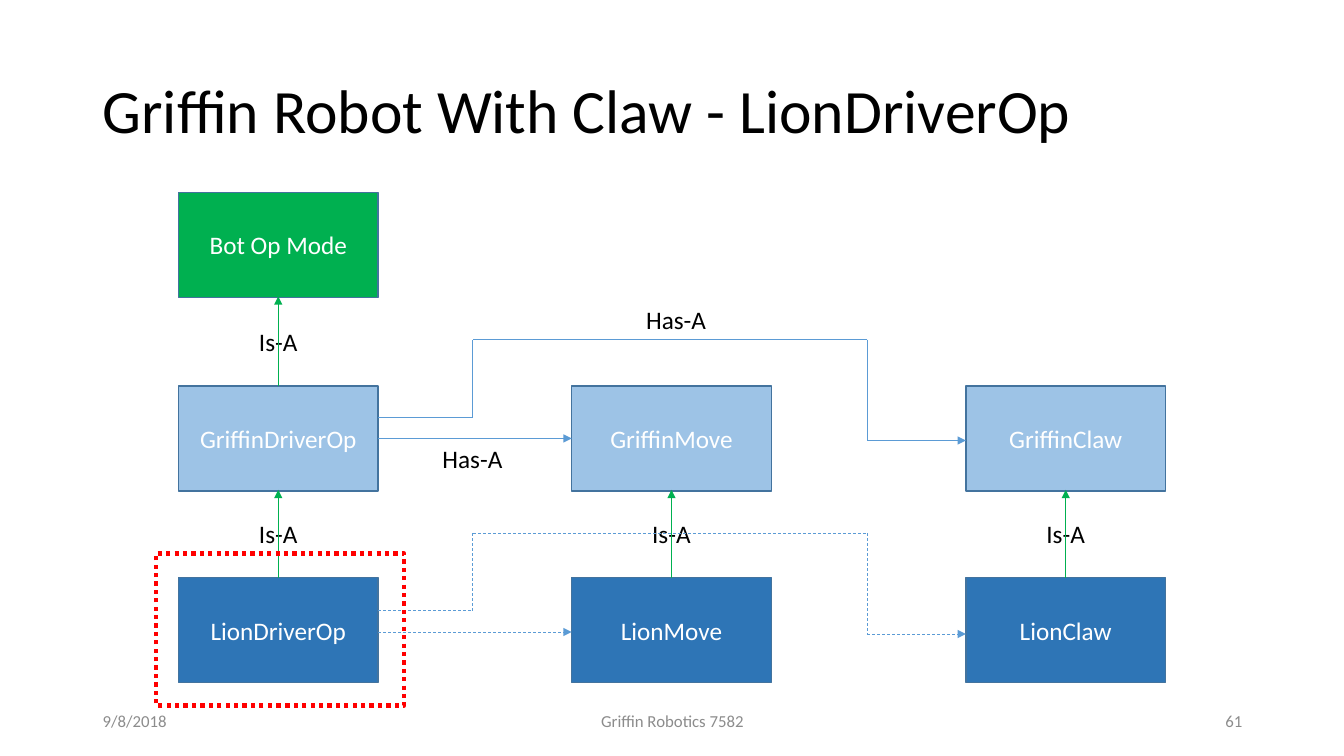
from dataclasses import dataclass
from itertools import pairwise

from lxml.etree import SubElement
from pptx import Presentation
from pptx.dml.color import RGBColor
from pptx.enum.dml import MSO_LINE
from pptx.enum.shapes import MSO_CONNECTOR, MSO_SHAPE
from pptx.enum.text import MSO_ANCHOR, MSO_AUTO_SIZE, PP_ALIGN
from pptx.oxml.ns import qn
from pptx.util import Inches, Pt


@dataclass(frozen=True)
class Theme:
    font: str = "Calibri"
    black: str = "000000"
    white: str = "FFFFFF"
    gray: str = "8C8C8C"
    green: str = "00B050"
    light_blue: str = "9DC3E6"
    dark_blue: str = "2E75B6"
    border: str = "43739E"
    link: str = "5B9BD5"
    red: str = "FF0000"
    title: int = 44
    body: int = 18
    footer: int = 12


THEME = Theme()
COLUMNS = (1.77, 5.67, 9.58)
ROWS = (1.91, 3.83, 5.73)
BOX_W, BOX_H = 1.98, 1.04


def rgb(color):
    return RGBColor.from_string(color)


def write(s, text, size, color, align):
    tf = s.text_frame
    tf.text = text
    p = tf.paragraphs[0]
    p.alignment = align
    font = p.runs[0].font
    font.name = THEME.font
    font.size = Pt(size)
    font.color.rgb = rgb(color)
    return p


def add_text(slide, text, x, y, w, h, size, color, align=PP_ALIGN.LEFT):
    s = slide.shapes.add_textbox(Inches(x), Inches(y), Inches(w), Inches(h))
    s.text_frame.word_wrap = True
    s.text_frame.vertical_anchor = MSO_ANCHOR.MIDDLE
    return write(s, text, size, color, align)


def add_label(slide, text, x, y, w):
    s = slide.shapes.add_textbox(Inches(x), Inches(y), Inches(w), Inches(0.4))
    s.text_frame.word_wrap = False
    s.text_frame.auto_size = MSO_AUTO_SIZE.SHAPE_TO_FIT_TEXT
    write(s, text, THEME.body, THEME.black, PP_ALIGN.LEFT)


def add_rect(slide, x, y, w, h, line, width):
    s = slide.shapes.add_shape(
        MSO_SHAPE.RECTANGLE, Inches(x), Inches(y), Inches(w), Inches(h))
    s.shadow.inherit = False
    s.line.color.rgb = rgb(line)
    s.line.width = Pt(width)
    return s


def add_class(slide, text, col, row, fill):
    s = add_rect(slide, COLUMNS[col], ROWS[row], BOX_W, BOX_H, THEME.border, 1)
    s.fill.solid()
    s.fill.fore_color.rgb = rgb(fill)
    s.text_frame.vertical_anchor = MSO_ANCHOR.MIDDLE
    write(s, text, THEME.body, THEME.white, PP_ALIGN.CENTER)


def add_line(slide, start, end, color, dashed=False, arrow=False):
    s = slide.shapes.add_connector(
        MSO_CONNECTOR.STRAIGHT, *(Inches(v) for v in (*start, *end)))
    s.line.color.rgb = rgb(color)
    s.line.width = Pt(0.5)
    if dashed:
        s.line.dash_style = MSO_LINE.DASH
    if arrow:
        SubElement(s.line._get_or_add_ln(), qn("a:tailEnd"), type="triangle")
    SubElement(s._element.spPr, qn("a:effectLst"))


def add_is_a(slide, col, row):
    x = COLUMNS[col] + BOX_W / 2
    bottom, top = ROWS[row], ROWS[row - 1] + BOX_H - 0.01
    add_label(slide, "Is-A", x - 0.29, bottom - 0.64, 0.59)
    add_line(slide, (x, bottom), (x, top), THEME.green, arrow=True)


def add_has_a(slide, row, dashed):
    y = ROWS[row]
    left = COLUMNS[0] + BOX_W
    middle = y + BOX_H / 2 + (0.02 if dashed else 0)
    add_line(slide, (left, middle), (COLUMNS[1], middle), THEME.link, dashed, True)
    start_y = middle - 0.21
    top = start_y - 0.77
    target = middle + 0.02
    route = [(left, start_y), (4.69, start_y), (4.69, top),
             (8.6, top), (8.6, target), (COLUMNS[2], target)]
    for start, end in pairwise(route):
        add_line(slide, start, end, THEME.link, dashed, end == route[-1])


def main():
    prs = Presentation()
    prs.slide_width = Inches(13.33)
    prs.slide_height = Inches(7.5)
    slide = prs.slides.add_slide(prs.slide_layouts[6])

    title = add_text(slide, "Griffin Robot With Claw - LionDriverOp",
                     0.92, 0.4, 11.5, 1.45, THEME.title, THEME.black)
    title.line_spacing = 0.9
    for text, x, w, align in (
            ("9/8/2018", 0.92, 3, PP_ALIGN.LEFT),
            ("Griffin Robotics 7582", 4.42, 4.5, PP_ALIGN.CENTER),
            ("61", 9.42, 3, PP_ALIGN.RIGHT)):
        add_text(slide, text, x, 6.95, w, 0.4, THEME.footer, THEME.gray, align)

    add_class(slide, "Bot Op Mode", 0, 0, THEME.green)
    for col, part in enumerate(("DriverOp", "Move", "Claw")):
        add_class(slide, "Griffin" + part, col, 1, THEME.light_blue)
        add_class(slide, "Lion" + part, col, 2, THEME.dark_blue)
        add_is_a(slide, col, 2)
    add_is_a(slide, 0, 1)

    add_label(slide, "Has-A", 6.31, 2.97, 0.8)
    add_label(slide, "Has-A", 4.29, 4.35, 0.8)
    add_has_a(slide, 1, dashed=False)
    add_has_a(slide, 2, dashed=True)

    highlight = add_rect(slide, 1.55, 5.49, 2.46, 1.51, THEME.red, 3)
    highlight.fill.background()
    highlight.line.dash_style = MSO_LINE.ROUND_DOT

    prs.save("out.pptx")


if __name__ == "__main__":
    main()
